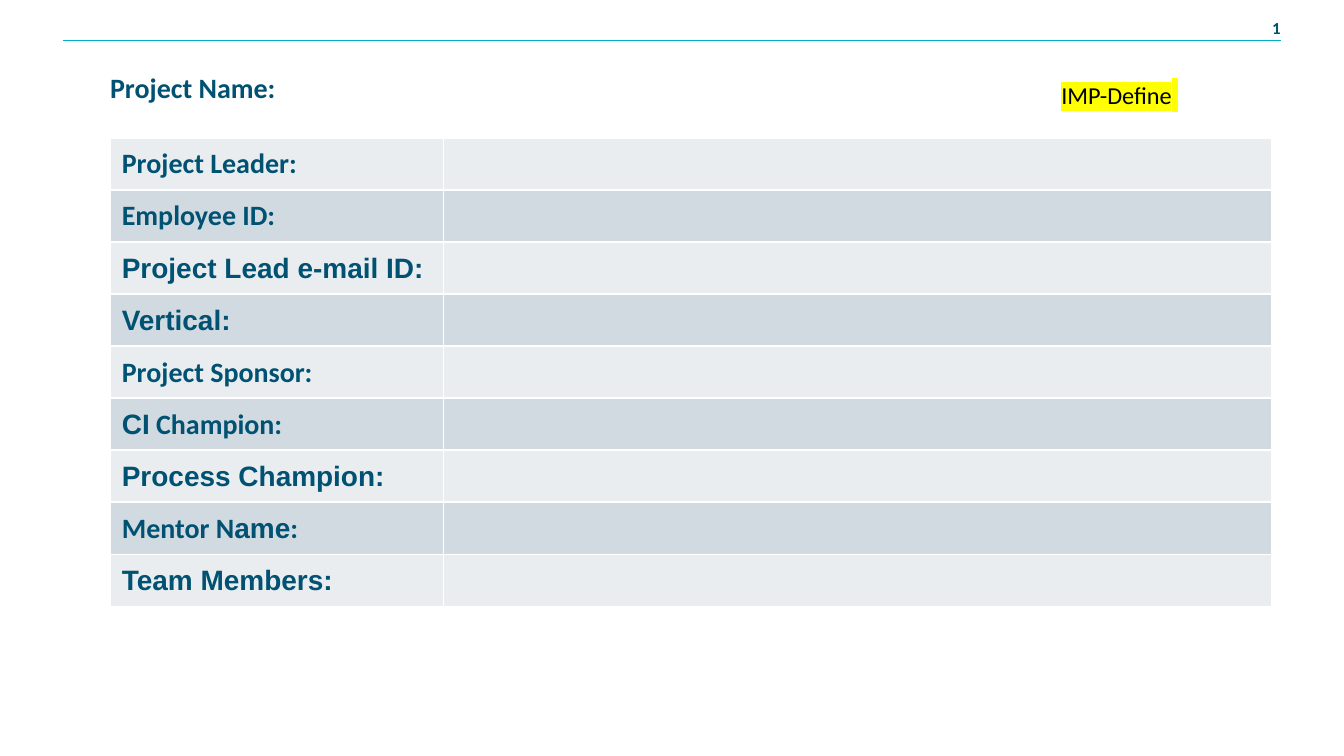
"""Build the project team slide of an improvement project."""
import lxml.etree
import pptx
import pptx.dml.color
import pptx.enum.shapes
import pptx.enum.text
import pptx.oxml.ns
import pptx.util

Pt = pptx.util.Pt
qn = pptx.oxml.ns.qn
RGBColor = pptx.dml.color.RGBColor
MIDDLE = pptx.enum.text.MSO_ANCHOR.MIDDLE

NAVY = RGBColor(0x00, 0x51, 0x72)
TEAL = RGBColor(0x00, 0xAE, 0xC7)
BLACK = RGBColor(0x00, 0x00, 0x00)
WHITE = RGBColor(0xFF, 0xFF, 0xFF)
YELLOW = RGBColor(0xFF, 0xFF, 0x00)
LIGHT_BAND = RGBColor(0xEA, 0xED, 0xF0)
DARK_BAND = RGBColor(0xD1, 0xDA, 0xE0)

COLUMN_WIDTHS = (178.5, 444)
ROW_HEIGHT = 27.9
FIELDS = (
    (("Project Leader:", "Calibri"),),
    (("Employee ID:", "Calibri"),),
    (("Project Lead e-mail ID:", "Arial"),),
    (("Vertical:", "Arial"),),
    (("Project Sponsor:", "Calibri"),),
    (("CI", "Arial"), (" Champion:", "Calibri")),
    (("Process Champion:", "Arial"),),
    (("Mentor N", "Calibri"), ("ame", "Arial"), (":", "Calibri")),
    (("Team Members:", "Arial"),),
)


def add_run(paragraph, text, size, font="Calibri", color=NAVY, bold=True, highlight=None):
    """Append one formatted run to a paragraph."""
    run = paragraph.add_run()
    run.text = text
    run.font.size = Pt(size)
    run.font.bold = bold
    run.font.color.rgb = color
    if highlight is not None:
        marker = lxml.etree.SubElement(run.font._element, qn("a:highlight"))
        lxml.etree.SubElement(marker, qn("a:srgbClr"), val=str(highlight))
    run.font.name = font


def add_text_box(slide, left, top, width, height, margin=0):
    """Add a wrapping text box with equal margins and return its text frame."""
    frame = slide.shapes.add_textbox(Pt(left), Pt(top), Pt(width), Pt(height)).text_frame
    frame.word_wrap = True
    frame.margin_left = frame.margin_right = Pt(margin)
    frame.margin_top = frame.margin_bottom = Pt(margin)
    return frame


def add_header_rule(slide):
    """Draw the thin rule across the top of the slide."""
    rule = slide.shapes.add_connector(
        pptx.enum.shapes.MSO_CONNECTOR.STRAIGHT, Pt(34), Pt(21.8), Pt(686), Pt(21.8)
    )
    rule.line.color.rgb = TEAL
    rule.line.width = Pt(0.75)
    lxml.etree.SubElement(rule._element.spPr, qn("a:effectLst"))


def format_cell(cell, band):
    """Give a cell white borders, a band colour and tight margins."""
    properties = cell._tc.get_or_add_tcPr()
    for side in ("a:lnL", "a:lnR", "a:lnT", "a:lnB"):
        border = lxml.etree.SubElement(properties, qn(side), w=str(Pt(1)))
        border_fill = lxml.etree.SubElement(border, qn("a:solidFill"))
        lxml.etree.SubElement(border_fill, qn("a:srgbClr"), val=str(WHITE))
    cell.fill.solid()
    cell.fill.fore_color.rgb = band
    cell.vertical_anchor = MIDDLE
    cell.margin_left = Pt(6.3)
    cell.margin_right = cell.margin_top = Pt(0.5)
    cell.margin_bottom = Pt(0)


def add_team_table(slide):
    """Add the table of project fields with blank answer cells."""
    table = slide.shapes.add_table(
        len(FIELDS), len(COLUMN_WIDTHS), Pt(59), Pt(73.8),
        Pt(sum(COLUMN_WIDTHS)), Pt(ROW_HEIGHT * len(FIELDS)),
    ).table
    table.first_row = table.horz_banding = False
    for column, width in zip(table.columns, COLUMN_WIDTHS):
        column.width = Pt(width)
    for index, (row, label) in enumerate(zip(table.rows, FIELDS)):
        row.height = Pt(ROW_HEIGHT)
        for cell in row.cells:
            format_cell(cell, DARK_BAND if index % 2 else LIGHT_BAND)
        label_paragraph = row.cells[0].text_frame.paragraphs[0]
        for text, font in label:
            add_run(label_paragraph, text, 15, font)


def main():
    """Build and save the slide."""
    presentation = pptx.Presentation()
    presentation.slide_width = Pt(720)
    presentation.slide_height = Pt(405)
    slide = presentation.slides.add_slide(presentation.slide_layouts[6])

    page_number = add_text_box(slide, 675, 9.4, 11, 13)
    page_number.margin_bottom = Pt(2)
    page_number.vertical_anchor = MIDDLE
    page_number.paragraphs[0].alignment = pptx.enum.text.PP_ALIGN.RIGHT
    add_run(page_number.paragraphs[0], "1", 9)

    add_header_rule(slide)

    project_name = add_text_box(slide, 59, 37.8, 599, 18)
    add_run(project_name.paragraphs[0], "Project Name:", 15)

    add_team_table(slide)

    phase = add_text_box(slide, 561.5, 34, 111.5, 32.5, margin=7.2).paragraphs[0]
    for text, size in (("IMP-Define", 13), (" ", 15)):
        add_run(phase, text, size, color=BLACK, bold=False, highlight=YELLOW)

    presentation.save("out.pptx")


if __name__ == "__main__":
    main()
